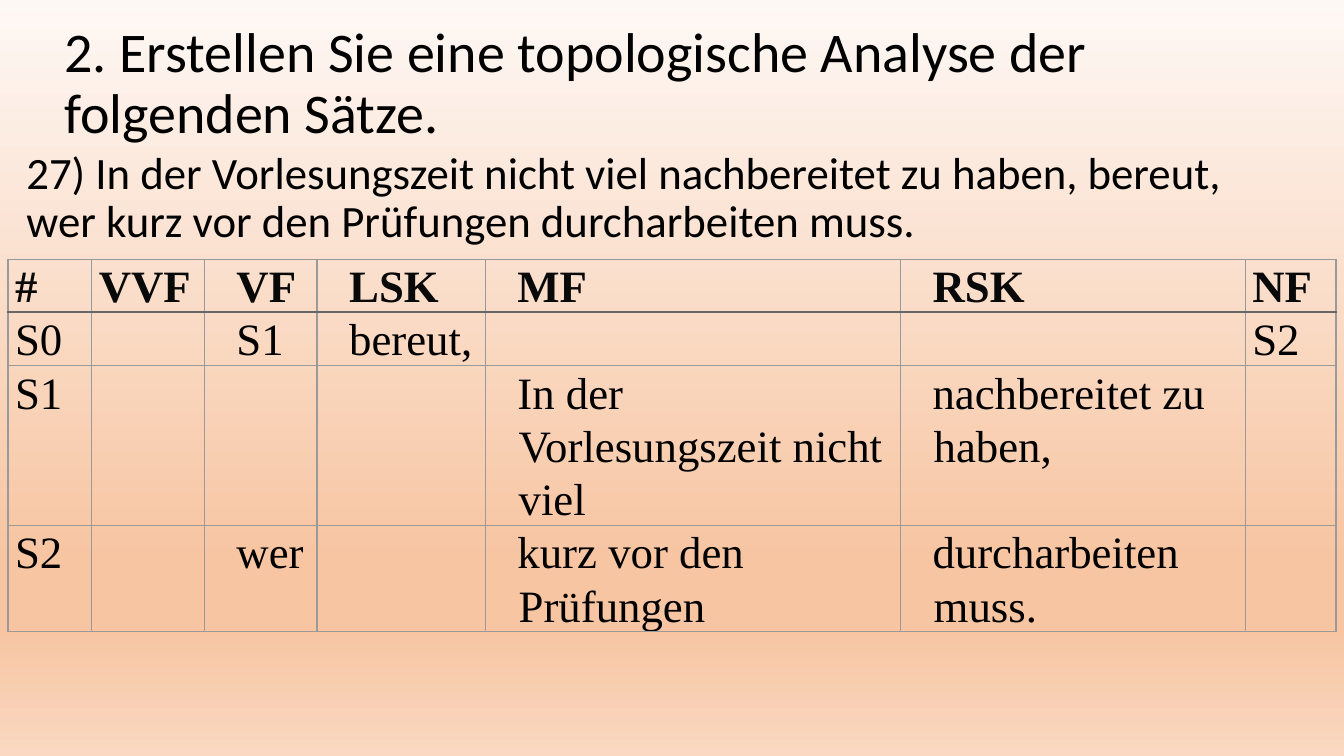
from lxml.etree import SubElement
from pptx import Presentation
from pptx.dml.color import RGBColor
from pptx.enum.text import MSO_ANCHOR as Anchor, MSO_AUTO_SIZE as AutoSize, PP_ALIGN as Align
from pptx.oxml.ns import qn
from pptx.util import Cm, Pt

BLACK, HEADER_INK, GREY, DARK_GREY = "000000", "09090A", "9A9A9B", "666666"
BACKGROUND_STOPS = [(0, "FEF8F5"), (74, "F7C5A2"), (83, "F7C5A2"), (100, "FAD8C1")]
COLUMN_WIDTHS = [2.11, 2.84, 2.84, 4.24, 10.46, 8.69, 2.29]
ROW_HEIGHTS = [1.14, 1.14, 1.14, 1.73]
INDENTED_COLUMNS = range(2, 6)
ANALYSIS = [
    ["#", "VVF", "VF", "LSK", "MF", "RSK", "NF"],
    ["S0", "", "S1", "bereut,", "", "", "S2"],
    ["S1", "", "", "", "In der Vorlesungszeit nicht viel", "nachbereitet zu haben,", ""],
    ["S2", "", "wer", "", "kurz vor den Prüfungen", "durcharbeiten muss.", ""],
]


def rgb(value):
    return RGBColor.from_string(value)


def set_attributes(target, values):
    for name, value in values.items():
        setattr(target, name, value)


def format_font(font, name, size, color, bold=False):
    set_attributes(font, {"name": name, "size": Pt(size), "bold": bold})
    font.color.rgb = rgb(color)


def add_background(s):
    fill = s.background.fill
    fill.gradient()
    fill.gradient_angle = 270
    stops = s.background._cSld.find(".//" + qn("a:gsLst"))
    for stop in list(stops):
        stops.remove(stop)
    for percent, color in BACKGROUND_STOPS:
        stop = SubElement(stops, qn("a:gs"), pos=str(percent * 1000))
        SubElement(stop, qn("a:srgbClr"), val=color)


def fill_placeholder(sp, box, text, size, anchor):
    set_attributes(sp, dict(zip(("left", "top", "width", "height"), map(Cm, box))))
    tf = sp.text_frame
    set_attributes(tf, {"word_wrap": True, "auto_size": AutoSize.NONE,
                        "vertical_anchor": anchor})
    p = tf.paragraphs[0]
    p.text = text
    set_attributes(p, {"alignment": Align.LEFT, "line_spacing": 0.9, "space_before": Pt(0)})
    pPr = p._p.get_or_add_pPr()
    pPr.set("marL", "0")
    pPr.set("indent", "0")
    SubElement(pPr, qn("a:buNone"))
    format_font(p.runs[0].font, "Calibri", size, BLACK)


def add_border(cell, side, color, width):
    line = SubElement(cell._tc.get_or_add_tcPr(), qn("a:ln" + side), w=str(Pt(width)))
    SubElement(SubElement(line, qn("a:solidFill")), qn("a:srgbClr"), val=color)


def format_cell(cell, row, column, text):
    set_attributes(cell, {"margin_left": Cm(0.18), "margin_right": Cm(0.2),
                          "margin_top": 0, "margin_bottom": 0})
    # The rule under the header is darker and thicker
    for side in "LRTB":
        under_header = (row, side) in ((0, "B"), (1, "T"))
        add_border(cell, side, *((DARK_GREY, 1.5) if under_header else (GREY, 1)))
    cell.fill.background()
    if not text:
        return
    p = cell.text_frame.paragraphs[0]
    p.text = text
    set_attributes(p, {"line_spacing": 1.07, "space_after": Pt(0.2)})
    pPr = p._p.get_or_add_pPr()
    pPr.set("marL", str(Cm(0.66 if column in INDENTED_COLUMNS else 0)))
    pPr.set("indent", str(Cm(-0.03)))
    header = row == 0
    format_font(p.runs[0].font, "Times New Roman", 32, HEADER_INK if header else BLACK, header)


def add_analysis_table(s):
    table = s.shapes.add_table(len(ROW_HEIGHTS), len(COLUMN_WIDTHS), Cm(0.2), Cm(6.53),
                               Cm(sum(COLUMN_WIDTHS)), Cm(sum(ROW_HEIGHTS))).table
    table.horz_banding = False
    for column, width in zip(table.columns, COLUMN_WIDTHS):
        column.width = Cm(width)
    for row, height in zip(table.rows, ROW_HEIGHTS):
        row.height = Cm(height)
    for i, texts in enumerate(ANALYSIS):
        for j, text in enumerate(texts):
            format_cell(table.cell(i, j), i, j, text)


def main():
    prs = Presentation()
    set_attributes(prs, {"slide_width": Cm(33.87), "slide_height": Cm(19.05)})
    s = prs.slides.add_slide(prs.slide_layouts[1])
    add_background(s)

    # Task and example sentence
    fill_placeholder(s.shapes.title, (1.37, 0.3, 29.21, 3.68),
                     "2. Erstellen Sie eine topologische Analyse der folgenden Sätze.",
                     40, Anchor.MIDDLE)
    fill_placeholder(s.placeholders[1], (0.41, 3.66, 31.14, 13.51),
                     "27) In der Vorlesungszeit nicht viel nachbereitet zu haben, bereut, "
                     "wer kurz vor den Prüfungen durcharbeiten muss.",
                     32, Anchor.TOP)

    # Topological fields
    add_analysis_table(s)
    prs.save("out.pptx")


if __name__ == "__main__":
    main()
